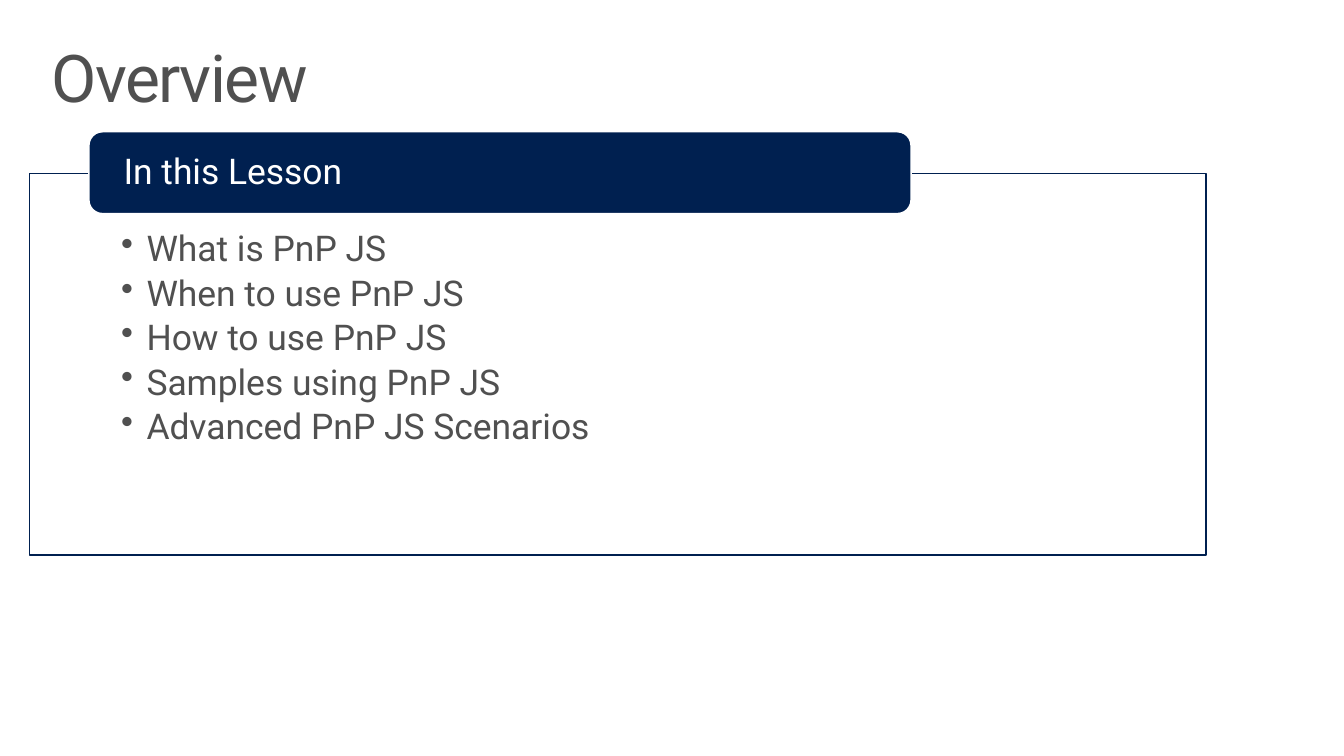
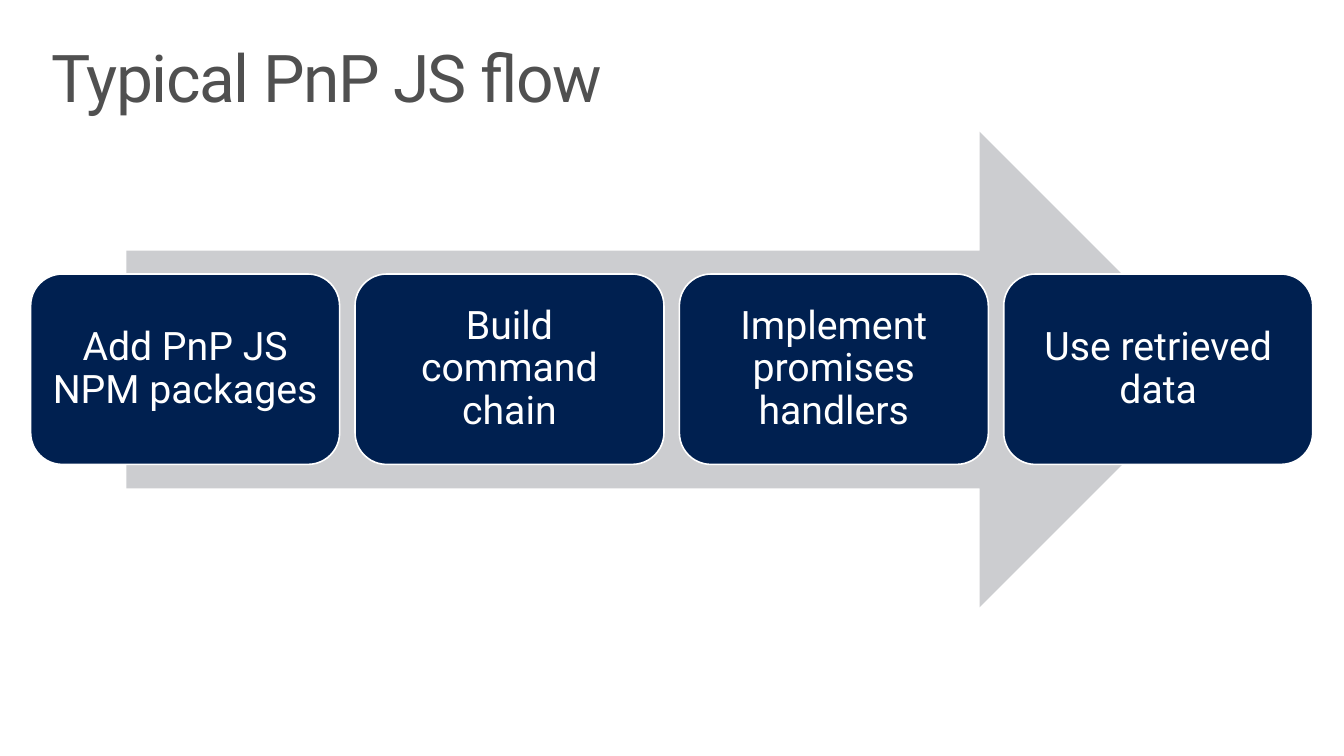
from dataclasses import dataclass

from lxml.etree import SubElement as Sub
from pptx import Presentation
from pptx.dml.color import RGBColor as Rgb
from pptx.enum.shapes import MSO_SHAPE as Kind
from pptx.enum.text import MSO_ANCHOR as Anchor, MSO_AUTO_SIZE as Fit, PP_ALIGN as Align
from pptx.oxml.ns import qn
from pptx.util import Cm, Pt


@dataclass(frozen=True)
class Theme:
    font: str = "Roboto"
    navy: str = "002050"
    grey: str = "505050"
    pale: str = "CCCDD0"
    white: str = "FFFFFF"
    head: float = 35.3
    body: float = 19
    step: float = 21
    line: float = 0.85
    lead: float = 0.9


class Deck:
    def __init__(self, theme):
        self.theme = theme
        self.show = Presentation()
        self.show.slide_width = Cm(25.4)
        self.show.slide_height = Cm(14.29)
        self.slide = None

    def page(self, title):
        self.slide = self.show.slides.add_slide(self.show.slide_layouts[5])
        head = self.slide.shapes.title
        head.left, head.top, head.width, head.height = map(Cm, (0.56, 0.61, 24.28, 1.88))
        self.label(head, [title], self.theme.head, self.theme.grey,
                   (0.41, 0.25, 0.41, 0.25), track=-80)

    def shape(self, kind, box, fill, line=None, alpha=None):
        item = self.slide.shapes.add_shape(kind, *map(Cm, box))
        item.shadow.inherit = False
        item.fill.solid()
        item.fill.fore_color.rgb = Rgb.from_string(fill)
        if alpha is not None:
            tint = item._element.spPr.find(qn("a:solidFill"))[0]
            Sub(tint, qn("a:alpha")).set("val", str(alpha * 1000))
        if line:
            item.line.color.rgb = Rgb.from_string(line)
            item.line.width = Pt(self.theme.line)
        else:
            item.line.fill.background()
        return item

    def label(self, item, lines, size, color, pads, anchor=Anchor.TOP,
              align=Align.LEFT, after=0, bullet=None, track=None):
        frame = item.text_frame
        frame.word_wrap = True
        frame.auto_size = Fit.NONE
        frame.vertical_anchor = anchor
        (frame.margin_left, frame.margin_top,
         frame.margin_right, frame.margin_bottom) = map(Cm, pads)
        for i, text in enumerate(lines):
            para = frame.add_paragraph() if i else frame.paragraphs[0]
            para.alignment = align
            para.line_spacing = self.theme.lead
            para.space_before = Pt(0)
            para.space_after = Pt(after)
            if bullet:
                self.mark(para, bullet)
            run = para.add_run()
            run.text = text
            run.font.name = self.theme.font
            run.font.size = Pt(size)
            run.font.color.rgb = Rgb.from_string(color)
            if track is not None:
                run._r.get_or_add_rPr().set("spc", str(track))

    def mark(self, para, bullet):
        para.level = 1
        props = para._p.get_or_add_pPr()
        props.set("marL", str(Cm(0.48)))
        props.set("indent", str(-Cm(0.48)))
        Sub(props, qn("a:buChar")).set("char", bullet)

    def panel(self, head, items):
        look = self.theme
        frame = self.shape(Kind.RECTANGLE, (0.56, 3.28, 22.23, 7.21),
                           look.white, look.navy, alpha=90)
        self.label(frame, items, look.body, look.grey, (1.73, 1.09, 1.73, 0.38),
                   after=3.3, bullet="•")
        tab = self.shape(Kind.ROUNDED_RECTANGLE, (1.68, 2.49, 15.54, 1.55),
                         look.navy, look.white)
        self.label(tab, [head], look.body, look.white, (0.58, 0, 0.58, 0), Anchor.MIDDLE)

    def flow(self, steps):
        look = self.theme
        self.shape(Kind.RIGHT_ARROW, (2.39, 2.49, 20.62, 8.99), look.pale)
        left, wide, gap = 0.58, 5.84, 0.29
        for i, text in enumerate(steps):
            card = self.shape(Kind.ROUNDED_RECTANGLE,
                              (left + i * (wide + gap), 5.18, wide, 3.6),
                              look.navy, look.white)
            self.label(card, [text], look.step, look.white, (0.23,) * 4,
                       Anchor.MIDDLE, Align.CENTER)


def main():
    deck = Deck(Theme())
    deck.page("Overview")
    deck.panel("In this Lesson", [
        "What is PnP JS",
        "When to use PnP JS",
        "How to use PnP JS",
        "Samples using PnP JS",
        "Advanced PnP JS Scenarios",
    ])
    deck.page("Typical PnP JS flow")
    deck.flow([
        "Add PnP JS NPM packages",
        "Build command chain",
        "Implement promises handlers",
        "Use retrieved data",
    ])
    deck.show.save("out.pptx")


if __name__ == "__main__":
    main()
